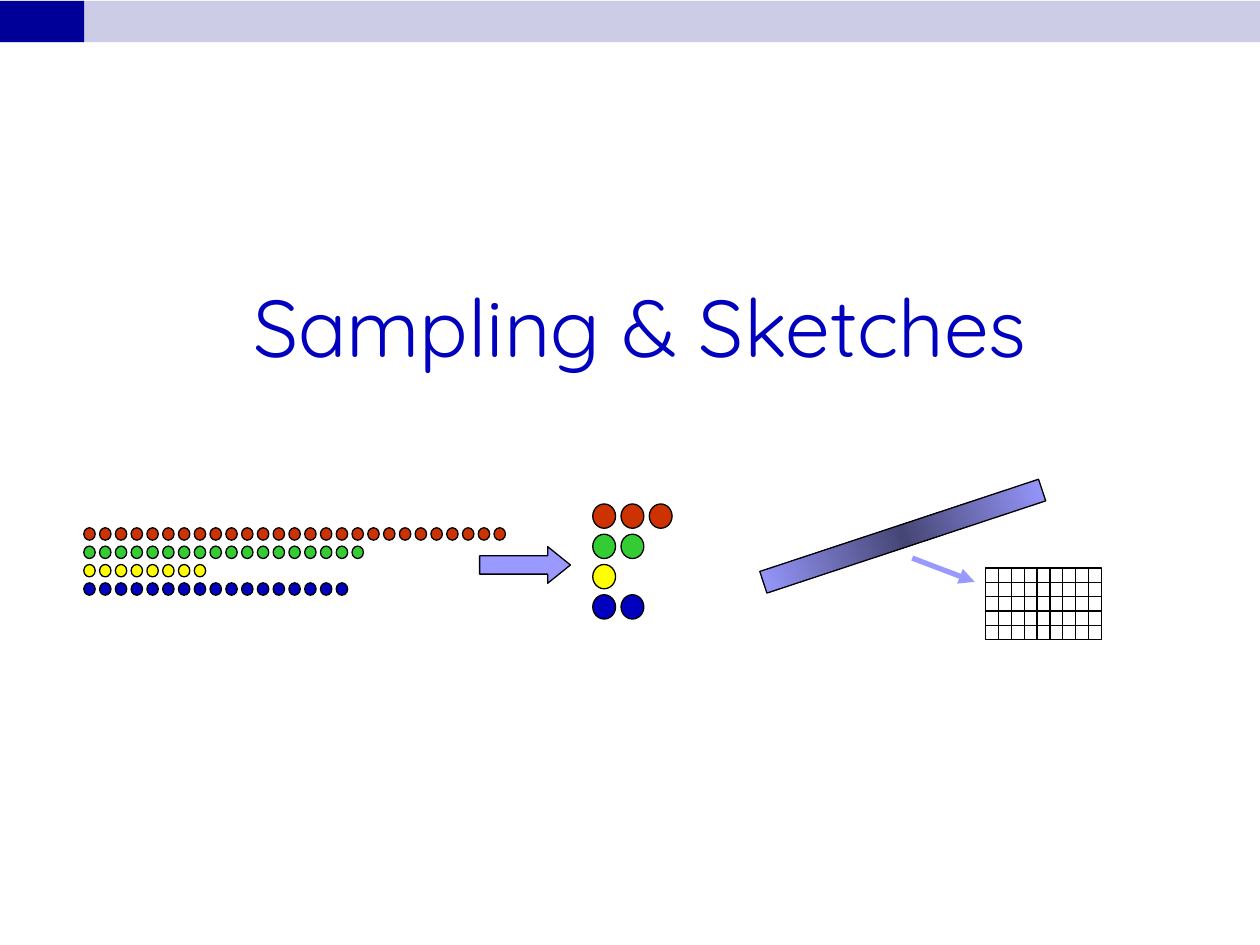
import copy

import pptx
import pptx.dml.color
import pptx.enum.shapes
import pptx.enum.text
import pptx.oxml
import pptx.oxml.ns
import pptx.util

Cm = pptx.util.Cm
Pt = pptx.util.Pt
SHAPE = pptx.enum.shapes.MSO_SHAPE

RED, GREEN, YELLOW, BLUE = "CC3300", "33CC33", "FFFF00", "0000BE"
LILAC, DUSK, BLACK = "9999FF", "464675", "000000"


def colour(hex_code):
    return pptx.dml.color.RGBColor.from_string(hex_code)


class SlideBuilder:
    font = "Quicksand"
    outline = 0.75

    def __init__(self, slide):
        self.slide = slide

    def group(self):
        return self.slide.shapes.add_group_shape().shapes

    def title(self, text, left, top, width, height, size):
        title = self.slide.shapes.title
        title.left, title.top = Cm(left), Cm(top)
        title.width, title.height = Cm(width), Cm(height)
        frame = title.text_frame
        frame.word_wrap = True
        frame.auto_size = pptx.enum.text.MSO_AUTO_SIZE.NONE
        frame.vertical_anchor = pptx.enum.text.MSO_ANCHOR.MIDDLE
        paragraph = frame.paragraphs[0]
        paragraph.alignment = pptx.enum.text.PP_ALIGN.CENTER
        run = paragraph.add_run()
        run.text = text
        run.font.name = self.font
        run.font.size = Pt(size)
        run.font.color.rgb = colour(BLUE)

    def shape(self, kind, left, top, width, height, fill=None, line=BLACK, parent=None):
        shapes = self.slide.shapes if parent is None else parent
        shape = shapes.add_shape(kind, Cm(left), Cm(top), Cm(width), Cm(height))
        shape.shadow.inherit = False
        if fill:
            shape.fill.solid()
            shape.fill.fore_color.rgb = colour(fill)
        else:
            shape.fill.background()
        if line:
            shape.line.color.rgb = colour(line)
            shape.line.width = Pt(self.outline)
        else:
            shape.line.fill.background()
        return shape

    def gradient(self, shape, edge, middle):
        """Fill with a gradient that runs from edge to middle and back."""
        shape.fill.gradient()
        shape.fill.gradient_angle = 0
        stop_list = shape.fill.gradient_stops[0]._gs.getparent()
        stop_list.append(copy.deepcopy(stop_list[0]))
        stops = zip(shape.fill.gradient_stops, (0, 0.5, 1), (edge, middle, edge))
        for stop, position, hex_code in stops:
            stop.position = position
            stop.color.rgb = colour(hex_code)

    def dot_rows(self, parent, rows, left, top, step_x, step_y, width, height):
        for row, (fill, count) in enumerate(rows):
            for column in range(count):
                self.shape(SHAPE.OVAL, left + column * step_x, top + row * step_y,
                           width, height, fill, parent=parent)

    def line(self, x1, y1, x2, y2, hex_code=BLACK, width=outline, arrow=False, parent=None):
        shapes = self.slide.shapes if parent is None else parent
        line = shapes.add_connector(pptx.enum.shapes.MSO_CONNECTOR.STRAIGHT,
                                    Cm(x1), Cm(y1), Cm(x2), Cm(y2))
        line.line.color.rgb = colour(hex_code)
        line.line.width = Pt(width)
        if arrow:
            head = pptx.oxml.parse_xml(
                f'<a:tailEnd {pptx.oxml.ns.nsdecls("a")} type="triangle"/>')
            line.line._get_or_add_ln().append(head)
        line._element.spPr.append(
            pptx.oxml.parse_xml(f'<a:effectLst {pptx.oxml.ns.nsdecls("a")}/>'))

    def grid(self, left, top, width, height, columns, rows):
        grid = self.group()
        self.shape(SHAPE.RECTANGLE, left, top, width, height, parent=grid)
        for column in range(1, columns):
            x = left + column * width / columns
            self.line(x, top, x, top + height, parent=grid)
        for row in range(1, rows):
            y = top + row * height / rows
            self.line(left, y, left + width, y, parent=grid)


def main():
    presentation = pptx.Presentation()
    presentation.slide_width, presentation.slide_height = Cm(25.4), Cm(19.05)
    title_only = presentation.slide_layouts[5]
    builder = SlideBuilder(presentation.slides.add_slide(title_only))

    # Header band
    builder.shape(SHAPE.RECTANGLE, 0, 0.02, 25.4, 0.83, "CCCCE6", line=None)
    builder.shape(SHAPE.RECTANGLE, 0, 0.02, 1.7, 0.83, "000099", line=None)

    # The trailing space takes part in the centring
    builder.title("Sampling & Sketches ", 1.27, 1.9, 23.7, 9.32, size=46)

    # Sampling: long rows of items reduced to a few
    sampling = builder.group()
    stream = [(RED, 27), (GREEN, 18), (YELLOW, 8), (BLUE, 17)]
    sample = [(RED, 3), (GREEN, 2), (YELLOW, 1), (BLUE, 2)]
    builder.dot_rows(sampling, stream, 1.69, 10.64, 8.27 / 26, 0.37, 0.23, 0.25)
    builder.dot_rows(sampling, sample, 11.95, 10.16, 0.57, 0.61, 0.46, 0.49)
    reduction = builder.shape(SHAPE.RIGHT_ARROW, 9.67, 11.02, 1.83, 0.74, LILAC,
                              parent=sampling)
    reduction.adjustments[1] = 0.62

    # Sketch: a long vector projected onto a small grid
    vector = builder.shape(SHAPE.RECTANGLE, 15.24, 10.58, 5.92, 0.46, LILAC)
    builder.gradient(vector, LILAC, DUSK)
    vector.rotation = 341.7
    builder.grid(19.87, 11.45, 2.33, 1.45, columns=9, rows=5)
    builder.line(18.39, 11.25, 19.65, 11.73, LILAC, width=3, arrow=True)

    presentation.save("out.pptx")


if __name__ == "__main__":
    main()
